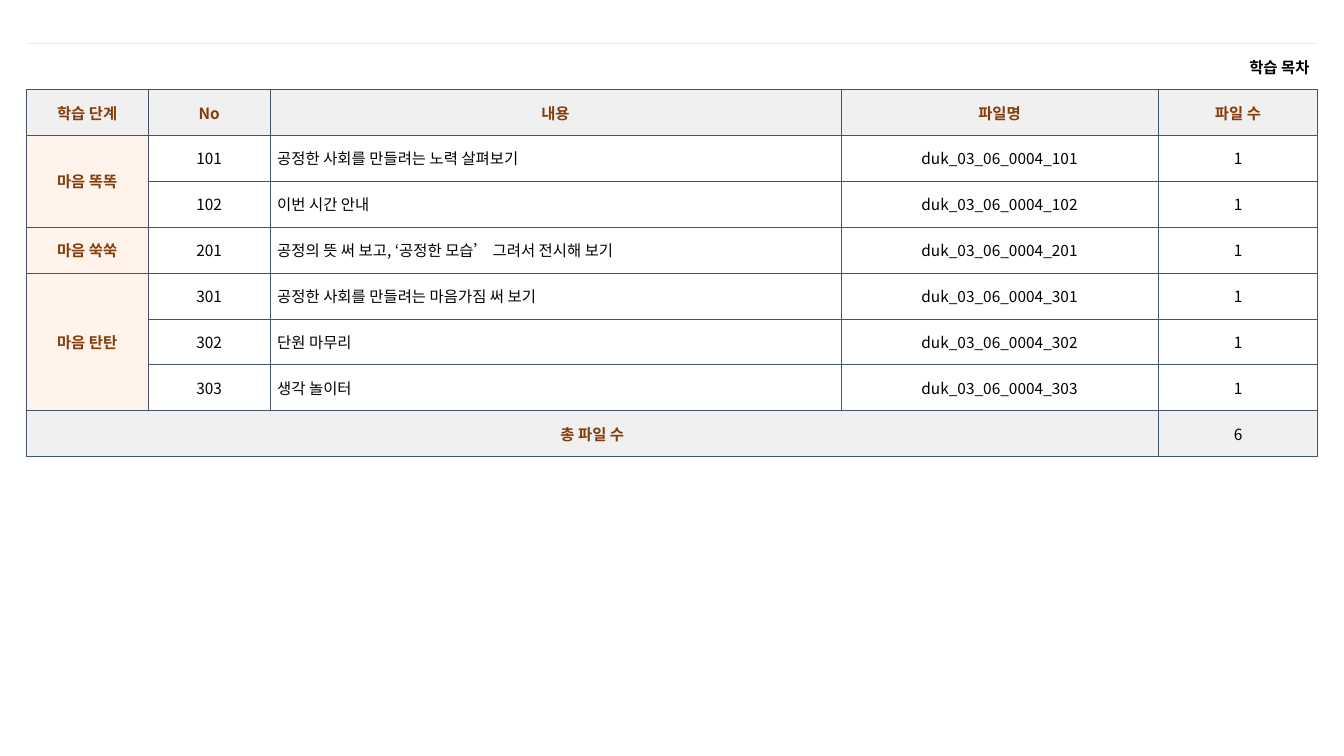
from dataclasses import dataclass

from lxml import etree
from pptx import Presentation
from pptx.dml.color import RGBColor
from pptx.enum.text import MSO_ANCHOR, PP_ALIGN
from pptx.oxml.ns import qn
from pptx.table import Table, _Cell
from pptx.util import Inches, Pt

LEFT, CENTER, RIGHT = PP_ALIGN.LEFT, PP_ALIGN.CENTER, PP_ALIGN.RIGHT
MIDDLE = MSO_ANCHOR.MIDDLE

BLACK = RGBColor(0x00, 0x00, 0x00)
WHITE = RGBColor(0xFF, 0xFF, 0xFF)
BROWN = RGBColor(0x84, 0x3C, 0x0B)
SLATE = RGBColor(0x44, 0x54, 0x6A)
PEACH = RGBColor(0xFB, 0xE5, 0xD6)
CREAM = RGBColor(0xFF, 0xF3, 0xEB)
GRAY = RGBColor(0xF1, 0xF0, 0xF0)

FONT = "Noto Sans CJK KR"
TABLE_LEFT, TABLE_TOP, TABLE_HEIGHT = 0.26, 0.43, 4.1
COLUMN_WIDTHS = (1.21, 1.21, 5.66, 3.15, 1.58)
HEADINGS = ("학습 단계", "No", "내용", "파일명", "파일 수")
FILE_PREFIX = "duk_03_06_0004_"


@dataclass(frozen=True)
class Lesson:
    number: int
    content: str
    files: int = 1


@dataclass(frozen=True)
class Stage:
    name: str
    lessons: tuple[Lesson, ...]


STAGES = (
    Stage("마음 똑똑", (
        Lesson(101, "공정한 사회를 만들려는 노력 살펴보기"),
        Lesson(102, "이번 시간 안내"),
    )),
    Stage("마음 쑥쑥", (
        Lesson(201, "공정의 뜻 써 보고, ‘공정한 모습’ 그려서 전시해 보기"),
    )),
    Stage("마음 탄탄", (
        Lesson(301, "공정한 사회를 만들려는 마음가짐 써 보기"),
        Lesson(302, "단원 마무리"),
        Lesson(303, "생각 놀이터"),
    )),
)


def set_border(cell: _Cell, side: str, color: RGBColor | None, width: float = 0.5) -> None:
    """Draw one side (L, R, T or B) of a cell, or hide it when color is None."""
    properties = cell._tc.get_or_add_tcPr()
    line = etree.SubElement(properties, qn(f"a:ln{side}"), w=str(Pt(width)))
    if color is None:
        etree.SubElement(line, qn("a:noFill"))
    else:
        fill = etree.SubElement(line, qn("a:solidFill"))
        etree.SubElement(fill, qn("a:srgbClr"), val=str(color))


def write(cell: _Cell, text: str, *, fill: RGBColor | None = WHITE, color: RGBColor = BLACK,
          bold: bool = False, align: PP_ALIGN = CENTER, inset: float = 0.07) -> None:
    """Put formatted text into a cell."""
    cell.vertical_anchor = MIDDLE
    cell.margin_left = cell.margin_right = Inches(inset)
    cell.margin_top = cell.margin_bottom = Inches(0.05)
    if fill is None:
        cell.fill.background()
    else:
        cell.fill.solid()
        cell.fill.fore_color.rgb = fill
    para = cell.text_frame.paragraphs[0]
    para.alignment = align
    span = para.add_run()
    span.text = text
    span.font.name = FONT
    span.font.size = Pt(11)
    span.font.bold = bold
    span.font.color.rgb = color
    etree.SubElement(span.font._element, qn("a:ea"), typeface=FONT)


def draw_borders(table: Table) -> None:
    """Rule the grid; the caption row has only a pale line above it."""
    for index, row in enumerate(table.rows):
        is_caption = index == 0
        for cell in row.cells:
            for side in "LR":
                set_border(cell, side, None if is_caption else SLATE)
            if is_caption:
                set_border(cell, "T", PEACH, 0.25)
            else:
                set_border(cell, "T", SLATE)
            set_border(cell, "B", SLATE)


def fill_stages(table: Table, first_row: int) -> None:
    """Write each stage with its lessons, merging the stage cell downwards."""
    row = first_row
    for stage in STAGES:
        stage_cell = table.cell(row, 0)
        if len(stage.lessons) > 1:
            stage_cell.merge(table.cell(row + len(stage.lessons) - 1, 0))
        write(stage_cell, stage.name, fill=CREAM, color=BROWN, bold=True)
        for lesson in stage.lessons:
            write(table.cell(row, 1), str(lesson.number))
            write(table.cell(row, 2), lesson.content, align=LEFT)
            write(table.cell(row, 3), f"{FILE_PREFIX}{lesson.number}")
            write(table.cell(row, 4), str(lesson.files))
            row += 1


def main() -> None:
    deck = Presentation()
    deck.slide_width, deck.slide_height = Inches(13.33), Inches(7.5)
    page = deck.slides.add_slide(deck.slide_layouts[6])

    # Table grid
    lessons = [lesson for stage in STAGES for lesson in stage.lessons]
    row_count = len(lessons) + 3
    last_row, last_column = row_count - 1, len(HEADINGS) - 1
    table = page.shapes.add_table(
        row_count, len(HEADINGS), Inches(TABLE_LEFT), Inches(TABLE_TOP),
        Inches(sum(COLUMN_WIDTHS)), Inches(TABLE_HEIGHT)).table
    table.first_row = table.horz_banding = False
    for column, width in zip(table.columns, COLUMN_WIDTHS):
        column.width = Inches(width)
    draw_borders(table)

    # Caption and headings
    caption = table.cell(0, 0)
    caption.merge(table.cell(0, last_column))
    write(caption, "학습 목차", fill=None, bold=True, align=RIGHT, inset=0.08)
    for index, heading in enumerate(HEADINGS):
        write(table.cell(1, index), heading, fill=GRAY, color=BROWN, bold=True)

    # Lessons by stage
    fill_stages(table, first_row=2)

    # Total
    total = table.cell(last_row, 0)
    total.merge(table.cell(last_row, last_column - 1))
    write(total, "총 파일 수", fill=GRAY, color=BROWN, bold=True)
    file_count = sum(lesson.files for lesson in lessons)
    write(table.cell(last_row, last_column), str(file_count), fill=GRAY)

    deck.save("out.pptx")


if __name__ == "__main__":
    main()
